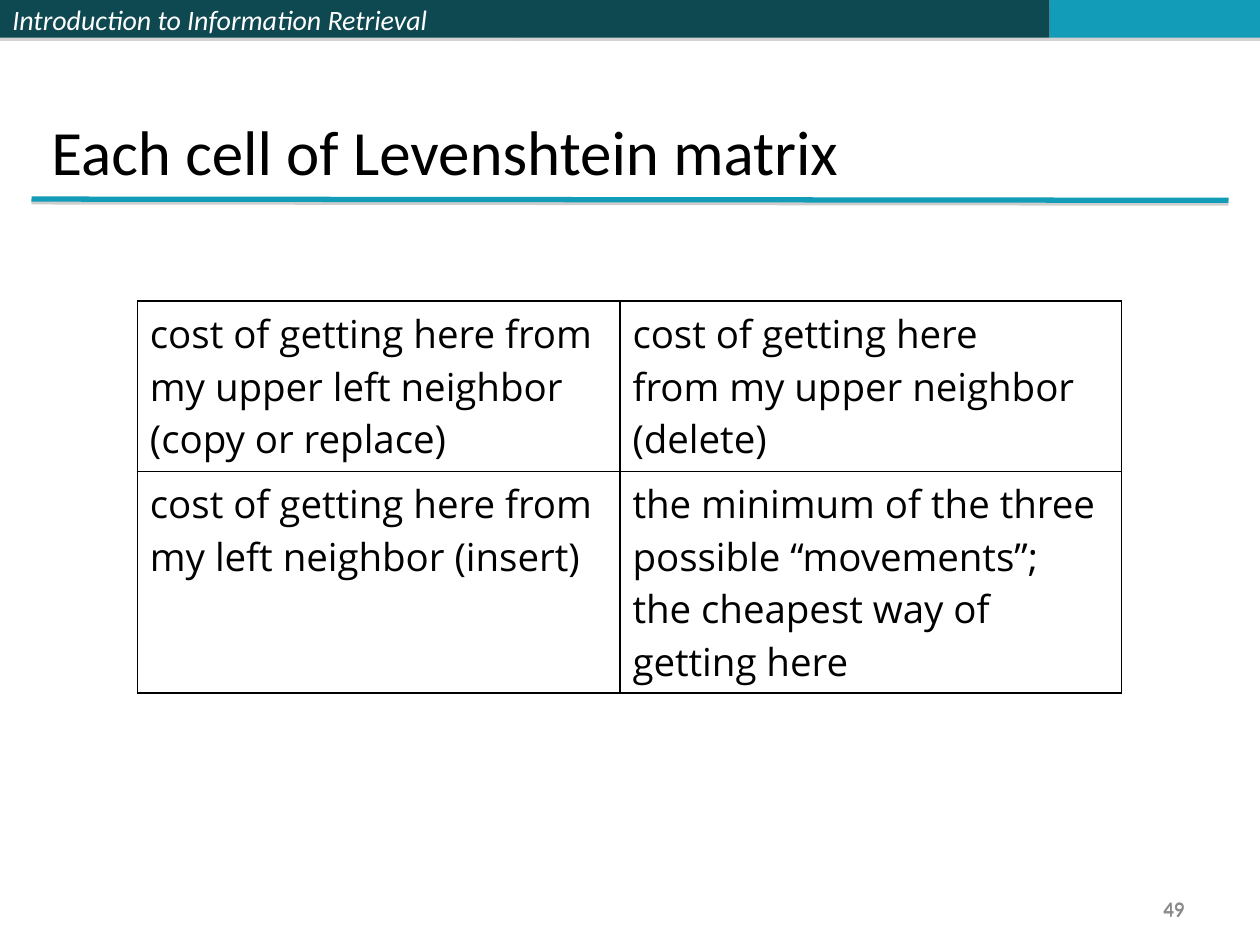
from lxml.etree import SubElement
from pptx import Presentation
from pptx.dml.color import RGBColor
from pptx.enum.shapes import MSO_CONNECTOR, MSO_SHAPE
from pptx.enum.text import MSO_ANCHOR, PP_ALIGN
from pptx.oxml import parse_xml
from pptx.oxml.ns import nsdecls, qn
from pptx.util import Inches, Pt

COLORS = {
    "dark": "0E4851",
    "teal": "139CB7",
    "white": "FFFFFF",
    "black": "000000",
    "gray": "898989",
    "shade": "808080",
}
CELLS = [
    [
        ["cost of getting here from", "my upper left neighbor", "(copy or replace)"],
        ["cost of getting here", "from my upper neighbor", "(delete)"],
    ],
    [
        ["cost of getting here from", "my left neighbor (insert)"],
        ["the minimum of the three possible “movements”;",
         "the cheapest way of getting here"],
    ],
]


def color(name):
    return RGBColor.from_string(COLORS[name])


def style(para, size, tone, face="Calibri", italic=False):
    font = para.font
    font.name = face
    font.size = Pt(size)
    font.italic = italic
    font.color.rgb = color(tone)


def add_shadow(shape, alpha, dist):
    shape._element.spPr.append(parse_xml(
        f'<a:effectLst {nsdecls("a")}>'
        f'<a:outerShdw dist="{Pt(dist)}" dir="5400000" rotWithShape="0">'
        f'<a:srgbClr val="{COLORS["shade"]}"><a:alpha val="{alpha * 1000}"/>'
        '</a:srgbClr></a:outerShdw></a:effectLst>'))


def add_bar(slide, left, width, tone):
    bar = slide.shapes.add_shape(
        MSO_SHAPE.RECTANGLE, Inches(left), 0, Inches(width), Inches(0.3))
    bar.fill.solid()
    bar.fill.fore_color.rgb = color(tone)
    bar.line.fill.background()
    add_shadow(bar, 35, 1.8)
    return bar


def add_header(slide):
    bar = add_bar(slide, 0, 4.08, "dark")
    add_bar(slide, 4.08, 4.25, "dark")
    add_bar(slide, 8.33, 1.67, "teal")
    frame = bar.text_frame
    frame.vertical_anchor = MSO_ANCHOR.MIDDLE
    para = frame.paragraphs[0]
    para.text = "Introduction to Information Retrieval"
    para.alignment = PP_ALIGN.LEFT
    style(para, 16, "white", italic=True)


def add_rule(slide):
    rule = slide.shapes.add_connector(
        MSO_CONNECTOR.STRAIGHT,
        Inches(0.25), Inches(1.58), Inches(9.75), Inches(1.59))
    rule.line.color.rgb = color("teal")
    rule.line.width = Pt(3)
    add_shadow(rule, 38, 1.6)


def add_text(slide, box, text, size, tone, anchor, align=PP_ALIGN.LEFT):
    frame = slide.shapes.add_textbox(*map(Inches, box)).text_frame
    frame.word_wrap = True
    frame.vertical_anchor = anchor
    para = frame.paragraphs[0]
    para.text = text
    para.alignment = align
    style(para, size, tone)


def add_borders(cell):
    props = cell._tc.get_or_add_tcPr()
    for index, side in enumerate("LRTB"):
        props.insert(index, parse_xml(
            f'<a:ln{side} {nsdecls("a")} w="{Pt(1)}"><a:solidFill>'
            f'<a:srgbClr val="{COLORS["black"]}"/></a:solidFill></a:ln{side}>'))


def fill_cell(cell, lines, tinted):
    cell.text = "\n".join(lines)
    for para in cell.text_frame.paragraphs:
        style(para, 22, "black", "Open Sans")
    if tinted:
        cell.fill.solid()
        cell.fill.fore_color.rgb = color("white")
        tone = cell._tc.tcPr.find(".//" + qn("a:srgbClr"))
        SubElement(tone, qn("a:alpha"), val="20000")
    else:
        cell.fill.background()
    add_borders(cell)


def add_matrix(slide):
    table = slide.shapes.add_table(
        2, 2, Inches(1.09), Inches(2.39), Inches(7.81), Inches(3.11)).table
    table.first_row = False
    table.horz_banding = False
    for col, width in zip(table.columns, (3.83, 3.98)):
        col.width = Inches(width)
    for row, height in zip(table.rows, (1.35, 1.76)):
        row.height = Inches(height)
    for r, row in enumerate(CELLS):
        for c, lines in enumerate(row):
            fill_cell(table.cell(r, c), lines, r == 1)


def main():
    deck = Presentation()
    deck.slide_width = Inches(10)
    deck.slide_height = Inches(7.5)
    slide = deck.slides.add_slide(deck.slide_layouts[6])
    add_header(slide)
    add_rule(slide)
    add_text(slide, (0.31, 0.01, 9.45, 1.53), "Each cell of Levenshtein matrix",
             36, "black", MSO_ANCHOR.BOTTOM)
    for top, height in ((7.08, 0.27), (7.06, 0.3)):
        add_text(slide, (7.17, top, 2.33, height), "49",
                 12, "gray", MSO_ANCHOR.MIDDLE, PP_ALIGN.RIGHT)
    add_matrix(slide)
    deck.save("out.pptx")


if __name__ == "__main__":
    main()
